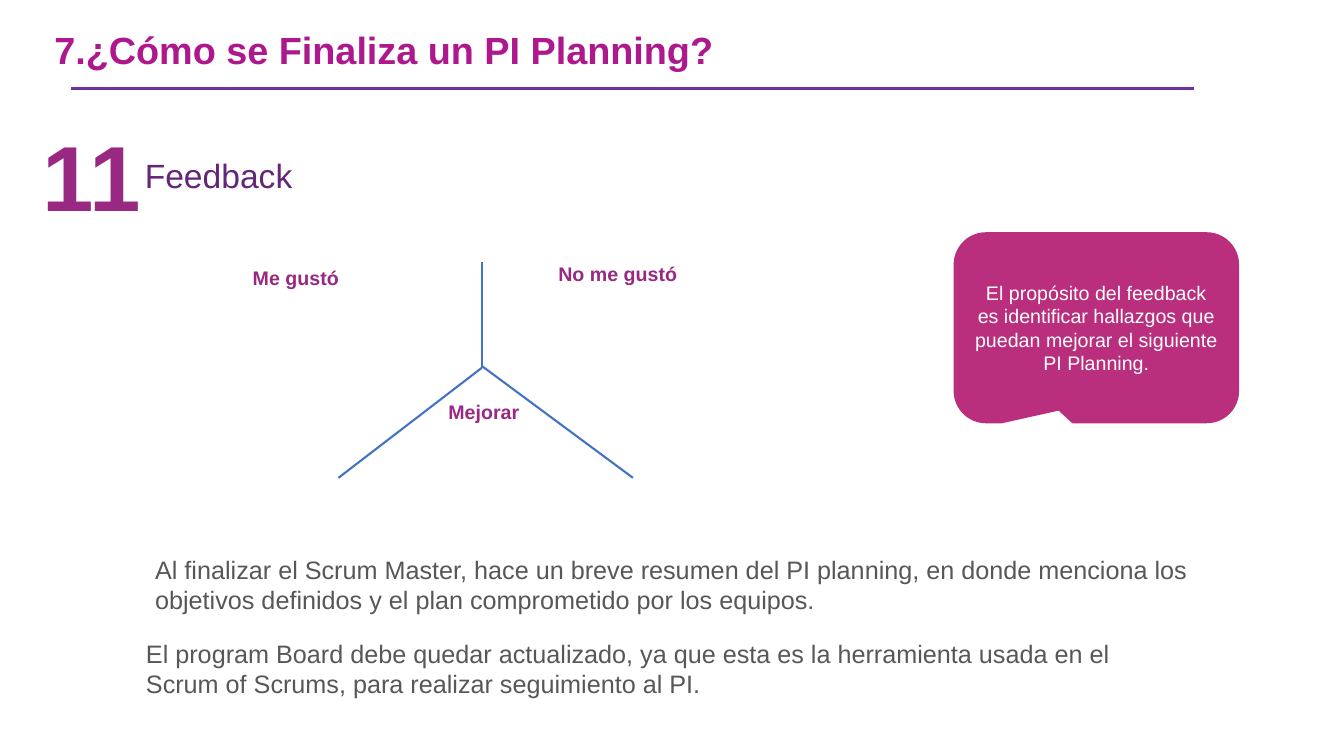
import pptx
import pptx.util
import pptx.dml.color
import pptx.enum.shapes
import pptx.enum.text
from lxml import etree
from pptx.util import Cm

COLORS = {
    "title": "AD198D",
    "rule": "7030A0",
    "body": "575756",
    "accent": "982881",
    "heading": "632678",
    "branch": "4472C4",
    "callout": "BA2F7D",
    "white": "FFFFFF",
}


def rgb(name):
    return pptx.dml.color.RGBColor.from_string(COLORS[name])


def write_text(shape, text, size=18, color="body", bold=False, centered=False,
               middle=False, wrap=True, spacing=None):
    frame = shape.text_frame
    frame.word_wrap = wrap
    anchors = pptx.enum.text.MSO_ANCHOR
    frame.vertical_anchor = anchors.MIDDLE if middle else anchors.TOP
    paragraph = frame.paragraphs[0]
    alignments = pptx.enum.text.PP_ALIGN
    paragraph.alignment = alignments.CENTER if centered else alignments.LEFT
    if spacing:
        paragraph.line_spacing = spacing
    run = paragraph.add_run()
    run.text = text
    run.font.name = "Arial"
    run.font.size = pptx.util.Pt(size)
    run.font.bold = bold
    run.font.color.rgb = rgb(color)


def add_text(slide, text, left, top, width, height, **text_format):
    box = slide.shapes.add_textbox(Cm(left), Cm(top), Cm(width), Cm(height))
    write_text(box, text, **text_format)


def add_line(slide, start, end, color, weight):
    line = slide.shapes.add_connector(
        pptx.enum.shapes.MSO_CONNECTOR.STRAIGHT,
        Cm(start[0]), Cm(start[1]), Cm(end[0]), Cm(end[1]))
    line.line.color.rgb = rgb(color)
    line.line.width = pptx.util.Pt(weight)
    etree.SubElement(line._element.spPr, pptx.oxml.ns.qn("a:effectLst"))


def add_callout(slide, text, left, top, width, height):
    callout = slide.shapes.add_shape(
        pptx.enum.shapes.MSO_SHAPE.ROUNDED_RECTANGULAR_CALLOUT,
        Cm(left), Cm(top), Cm(width), Cm(height))
    for index, value in enumerate((-0.132, 0.433, 0.167)):
        callout.adjustments[index] = value
    callout.shadow.inherit = False
    callout.fill.solid()
    callout.fill.fore_color.rgb = rgb("callout")
    callout.line.color.rgb = rgb("callout")
    callout.line.width = pptx.util.Pt(1)
    write_text(callout, text, size=14, color="white", centered=True, middle=True)


def add_feedback_diagram(slide):
    for text, left, top, width in (("Me gustó", 6.12, 6.58, 3.15),
                                   ("No me gustó", 13.82, 6.48, 4.62),
                                   ("Mejorar", 11.05, 9.96, 4.62)):
        add_text(slide, text, left, top, width, 0.86,
                 size=14, color="accent", bold=True)
    for start, end in (((12.14, 6.6), (12.14, 9.27)),
                       ((12.14, 9.27), (8.53, 12.04)),
                       ((15.95, 12.04), (12.14, 9.22))):
        add_line(slide, start, end, "branch", 1.5)


def main():
    presentation = pptx.Presentation()
    presentation.slide_width = Cm(33.87)
    presentation.slide_height = Cm(19.05)
    slide = presentation.slides.add_slide(presentation.slide_layouts[6])

    add_line(slide, (1.8, 2.24), (30.1, 2.24), "rule", 2.25)
    add_text(slide, "7.¿Cómo se Finaliza un PI Planning?", 1.12, 0.53, 26.24, 1.55,
             size=27, color="title", bold=True, middle=True, spacing=0.9)
    add_text(slide, "Al finalizar el Scrum Master, hace un breve resumen del PI planning, "
             "en donde menciona los objetivos definidos y el plan comprometido por los "
             "equipos.", 3.66, 13.84, 26.67, 1.8)
    add_text(slide, "El program Board debe quedar actualizado, ya que esta es la "
             "herramienta usada en el Scrum of Scrums, para realizar seguimiento al PI.",
             3.43, 15.95, 26.67, 1.8)
    add_feedback_diagram(slide)
    add_text(slide, "11", 0.81, 2.87, 3, 3.07, size=66, color="accent",
             bold=True, centered=True, wrap=False)
    add_text(slide, "Feedback", 3.4, 3.81, 8.71, 1.19,
             size=24, color="heading", middle=True)
    add_callout(slide, "El propósito del feedback es identificar hallazgos que puedan "
                "mejorar el siguiente PI Planning.", 24.05, 5.87, 7.16, 4.78)
    presentation.save("out.pptx")


if __name__ == "__main__":
    main()
